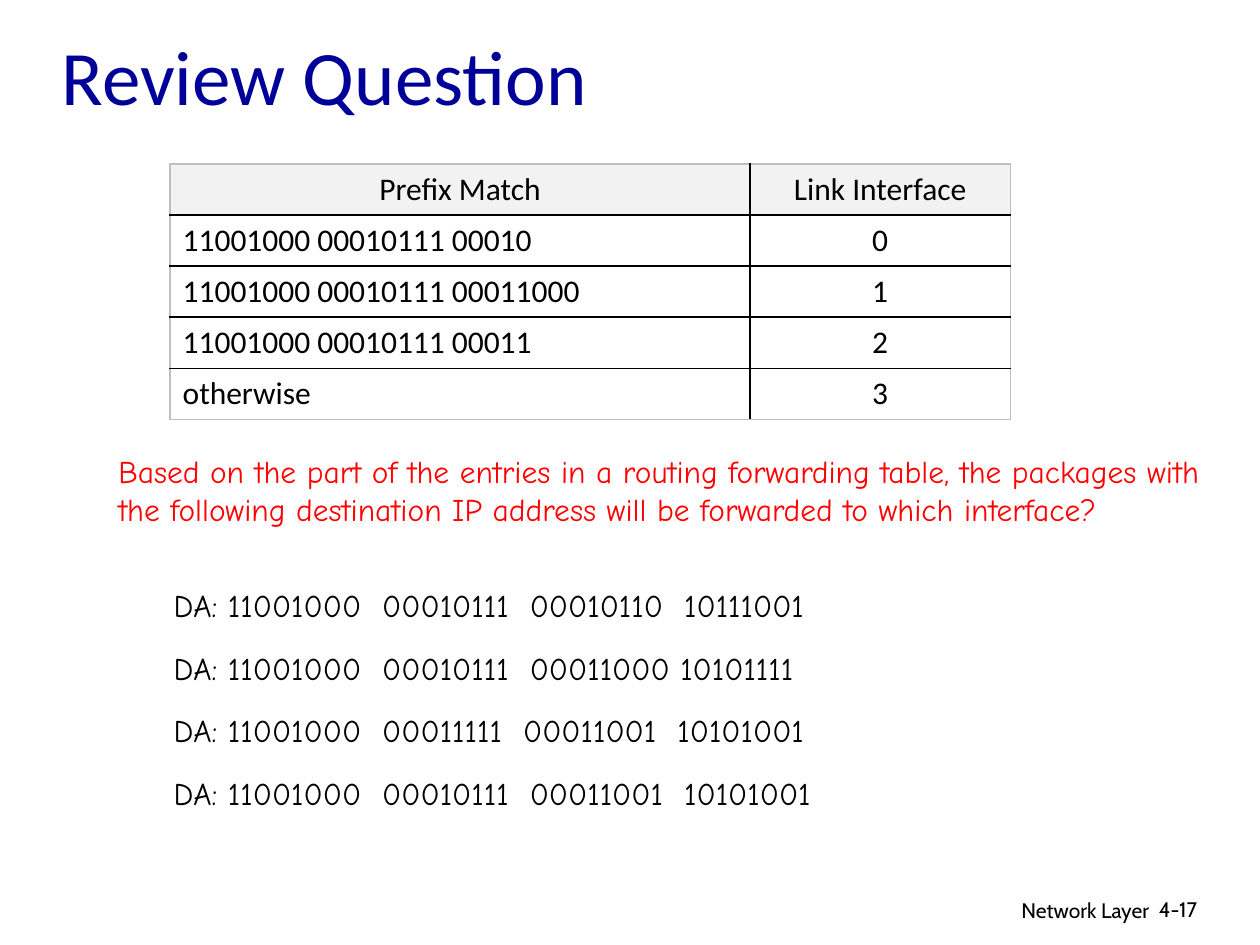
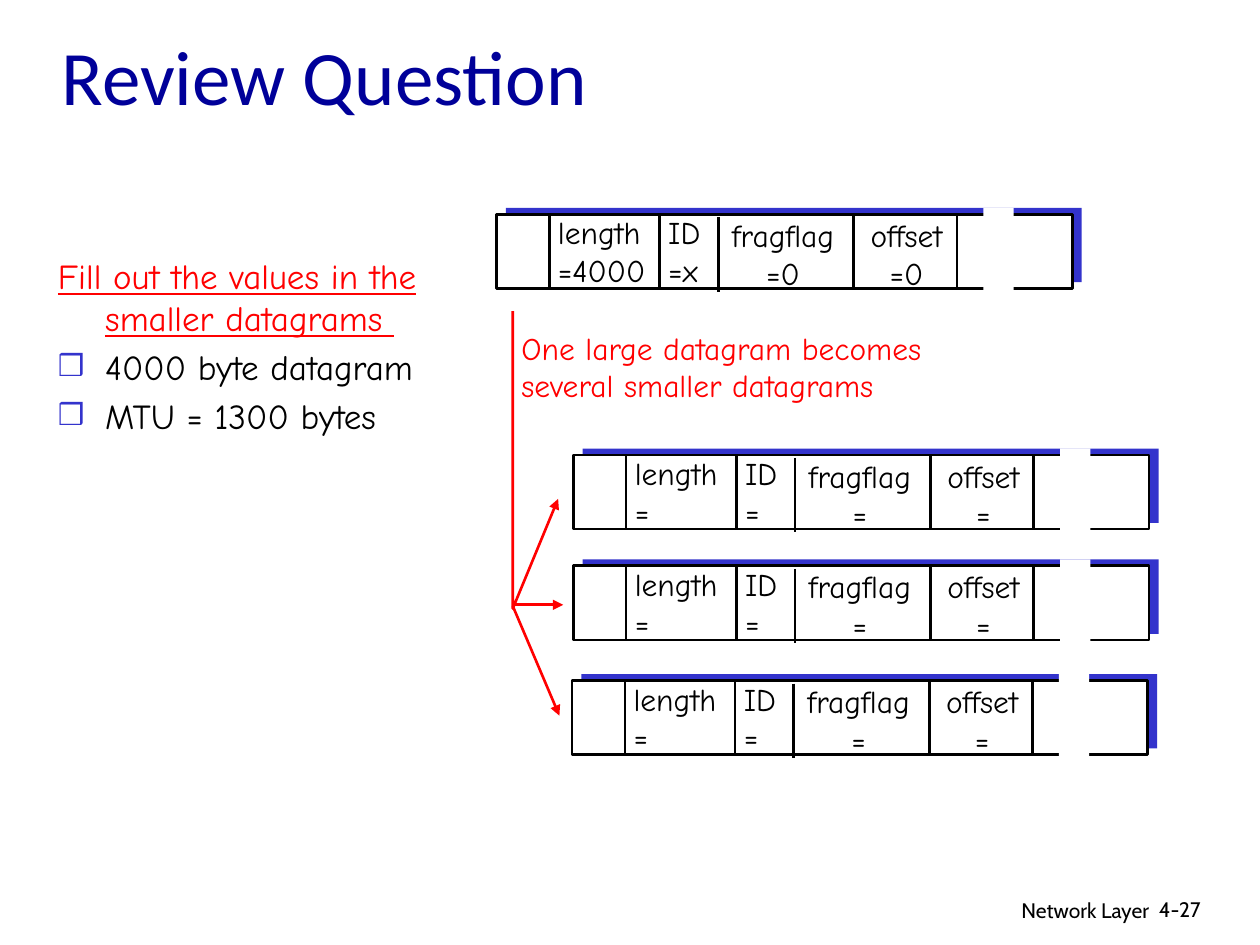
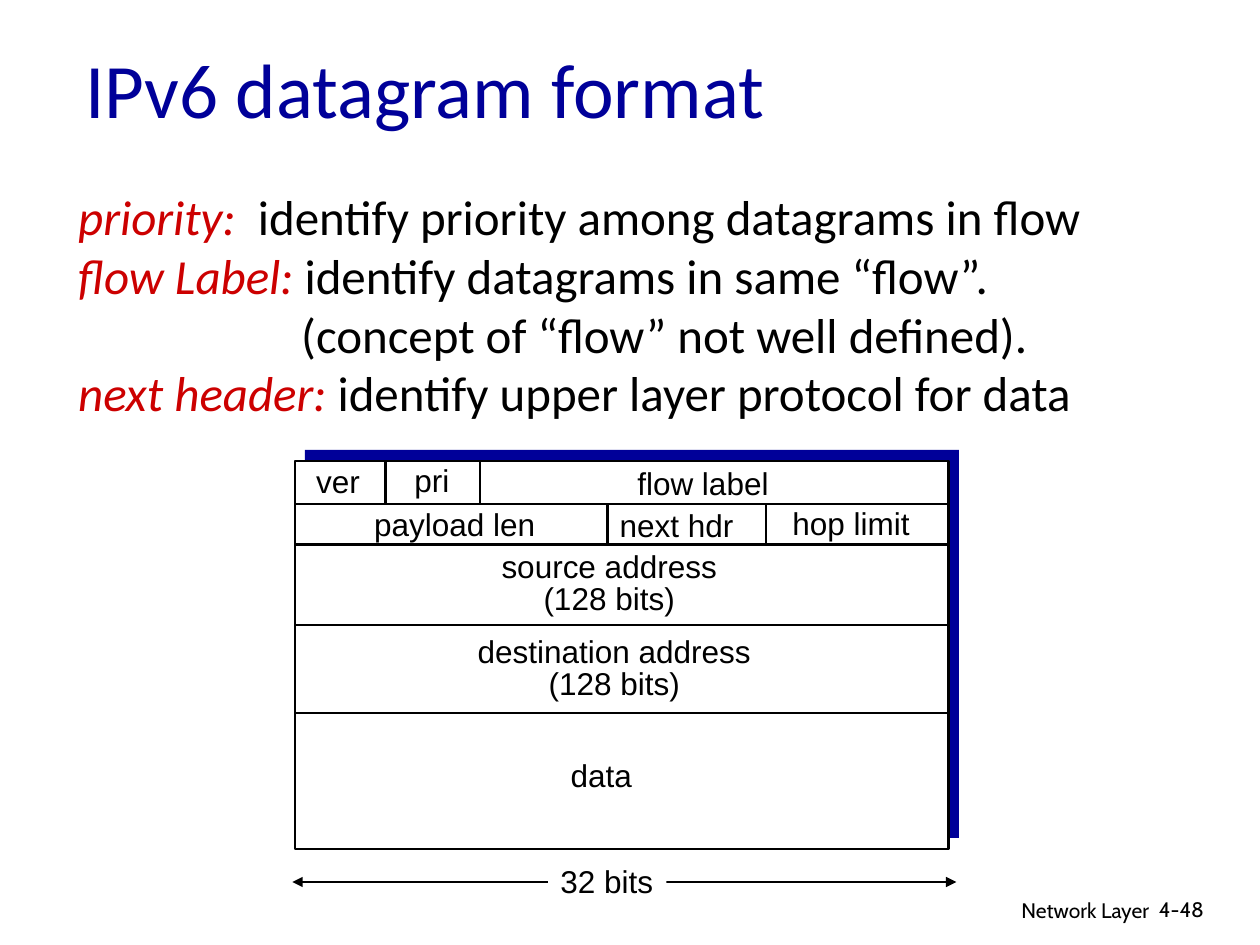
from dataclasses import dataclass
from lxml.etree import SubElement
from pptx import Presentation
from pptx.dml.color import RGBColor
from pptx.enum.shapes import MSO_CONNECTOR, MSO_SHAPE
from pptx.enum.text import MSO_ANCHOR, MSO_AUTO_SIZE, PP_ALIGN
from pptx.oxml.ns import qn
from pptx.util import Emu, Pt

COLS, ROWS = 100, 75
UNIT = 91440


@dataclass(frozen=True)
class Style:
    """Look of one run of text."""
    font: str
    size: int
    color: str = "000000"
    slant: bool = False
    under: bool = False


@dataclass(frozen=True)
class Theme:
    """Colours and type sizes of the deck."""
    ink: str = "000000"
    paper: str = "FFFFFF"
    navy: str = "000099"
    blue: str = "3333CC"
    red: str = "FF0000"
    head: str = "F2F2F2"
    edge: str = "BFBFBF"
    thin: float = 0.75
    rule: float = 1.5
    title: Style = Style("Calibri", 44, "000099")
    foot: Style = Style("Cabin", 12)
    cell: Style = Style("Calibri", 18)
    note: Style = Style("Comic Neue", 18)
    alert: Style = Style("Comic Neue", 18, "FF0000")
    task: Style = Style("Comic Neue", 20, "FF0000", under=True)
    item: Style = Style("Comic Neue", 20)
    term: Style = Style("Calibri", 28, "CC0000", slant=True)
    body: Style = Style("Calibri", 28)
    field: Style = Style("Arial", 18)


T = Theme()


@dataclass(frozen=True)
class Box:
    """Area in grid columns and rows."""
    x: float
    y: float
    w: float
    h: float

    def sub(self, dx, dy, w, h):
        """Return an area set off from this one's corner."""
        return Box(self.x + dx, self.y + dy, w, h)

    def emu(self):
        """Return left, top, width and height as lengths."""
        return [span(v) for v in (self.x, self.y, self.w, self.h)]


def span(count):
    """Turn grid units into a length."""
    return Emu(round(count * UNIT))


def paint(part, fill=None, line=None, width=T.rule):
    """Set fill and outline of a shape, without shadow."""
    part.shadow.inherit = False
    if fill:
        part.fill.solid()
        part.fill.fore_color.rgb = RGBColor.from_string(fill)
    else:
        part.fill.background()
    if line:
        ink(part, line, width)
    else:
        part.line.fill.background()


def ink(part, color, width):
    """Set the colour and width of a line."""
    part.line.color.rgb = RGBColor.from_string(color)
    part.line.width = Pt(width)


def tip(part, *ends):
    """Add triangle arrowheads to the named ends."""
    line = part.element.find(qn("p:spPr")).find(qn("a:ln"))
    for end in ends:
        SubElement(line, qn(f"a:{end}"), type="triangle")


def add_run(para, text, style):
    """Add one run in a style."""
    run = para.add_run()
    run.text = text
    font = run.font
    font.name, font.size = style.font, Pt(style.size)
    font.italic, font.underline = style.slant, style.under
    font.color.rgb = RGBColor.from_string(style.color)


def write(frame, paras, align=PP_ALIGN.LEFT, lead=1.0, gap=0):
    """Fill a frame with paragraphs, each a list of text and style pairs."""
    for i, runs in enumerate(paras):
        para = frame.add_paragraph() if i else frame.paragraphs[0]
        para.alignment, para.line_spacing = align, lead
        para.space_before = Pt(gap)
        for text, style in runs:
            add_run(para, text, style)


def label(slide, box, lines, style, align=PP_ALIGN.LEFT, lead=1.0, wrap=False):
    """Place a text box with one paragraph a line."""
    part = slide.shapes.add_textbox(*box.emu())
    frame = part.text_frame
    frame.word_wrap = wrap
    frame.auto_size = MSO_AUTO_SIZE.SHAPE_TO_FIT_TEXT
    write(frame, [[(line, style)] for line in lines], align, lead)
    return part


def rect(slide, box, fill, line=None):
    """Place a rectangle."""
    part = slide.shapes.add_shape(MSO_SHAPE.RECTANGLE, *box.emu())
    paint(part, fill, line)


def stroke(slide, box, color=T.ink, width=T.rule, ends=()):
    """Draw a line across a box from its top left corner."""
    x, y, w, h = box.emu()
    part = slide.shapes.add_connector(MSO_CONNECTOR.STRAIGHT, x, y, x + w, y + h)
    ink(part, color, width)
    tip(part, *ends)
    SubElement(part.element.find(qn("p:spPr")), qn("a:effectLst"))


def fit(part, box):
    """Move a placeholder into a box and return its frame."""
    part.left, part.top, part.width, part.height = box.emu()
    frame = part.text_frame
    frame.word_wrap, frame.auto_size = True, MSO_AUTO_SIZE.NONE
    return frame


def indent(para, left, first=0, mark=None):
    """Set the indents of a paragraph and its bullet, if any."""
    props = para._p.get_or_add_pPr()
    props.set("marL", str(span(left)))
    props.set("indent", str(span(first)))
    if mark:
        tint = SubElement(props, qn("a:buClr"))
        SubElement(tint, qn("a:srgbClr"), val=T.blue)
        SubElement(props, qn("a:buSzPct"), val="85000")
        SubElement(props, qn("a:buChar"), char=mark)
    else:
        SubElement(props, qn("a:buNone"))


def start(deck, layout, title, box, page):
    """Add a slide with its title and footer."""
    slide = deck.slides.add_slide(deck.slide_layouts[layout])
    frame = fit(slide.shapes.title, box)
    frame.vertical_anchor = MSO_ANCHOR.MIDDLE
    write(frame, [[(title, T.title)]])
    label(slide, Box(60.5, 70.7, 31.7, 3.1), ["Network Layer"], T.foot, PP_ALIGN.RIGHT, wrap=True)
    label(slide, Box(91, 70.7, 7.4, 3), [page], T.foot, wrap=True)
    return slide


def border(cell, sides):
    """Draw cell borders from a map of side to colour."""
    props = cell._tc.get_or_add_tcPr()
    for side in "LRTB":
        line = SubElement(props, qn(f"a:ln{side}"), w=str(Pt(1)))
        fill = SubElement(line, qn("a:solidFill"))
        SubElement(fill, qn("a:srgbClr"), val=sides.get(side, T.ink))


def routes(slide, box, rows, share):
    """Place the forwarding table."""
    part = slide.shapes.add_table(len(rows), 2, *box.emu())
    table = part.table
    table.first_row = table.horz_banding = False
    table.columns[0].width = span(box.w * share)
    table.columns[1].width = span(box.w * (1 - share))
    last = len(rows) - 1
    for r, row in enumerate(rows):
        for c, text in enumerate(row):
            cell = table.cell(r, c)
            sides = {"R" if c else "L": T.edge}
            if r in (0, last):
                sides["B" if r else "T"] = T.edge
            border(cell, sides)
            if r:
                cell.fill.background()
            else:
                cell.fill.solid()
                cell.fill.fore_color.rgb = RGBColor.from_string(T.head)
            align = PP_ALIGN.LEFT if r and not c else PP_ALIGN.CENTER
            write(cell.text_frame, [[(text, T.cell)]], align)


def packet(slide, box, values):
    """Draw one datagram with its four named fields."""
    rect(slide, box.sub(0.75, -0.5, box.w, box.h), T.blue)
    rect(slide, box, T.paper, T.ink)
    left, mid = PP_ALIGN.LEFT, PP_ALIGN.CENTER
    fields = [("length", 3.9, -0.55, 9.4, left), ("ID", 12.65, -0.55, 5.2, left),
              ("fragflag", 16.95, -0.35, 11.6, mid), ("offset", 27.75, -0.35, 9.6, mid)]
    for (name, dx, dy, wide, align), value in zip(fields, values):
        label(slide, box.sub(dx, dy, wide, 7), [name, f"={value}"], T.note, align)
    for dx, dy in ((4.2, 0), (12.95, 0), (17.6, 0.25), (28.35, 0), (36.55, 0)):
        stroke(slide, box.sub(dx, dy, 0, box.h))
    rect(slide, box.sub(38.65, -0.5, 2.4, 6.6), T.paper)


def fan(slide, box):
    """Draw the red stem that splits into three arrows."""
    foot = box.y + box.h
    pen = slide.shapes.build_freeform(span(box.x), span(box.y), 1.0)
    ends = [(box.x, foot), (box.x + 3.6, foot - 8.7)]
    pen.add_line_segments([(span(x), span(y)) for x, y in ends], close=False)
    part = pen.convert_to_shape()
    paint(part, line=T.red)
    tip(part, "tailEnd")
    for dy, w, h in ((-0.3, 4, 0), (-0.2, 3.7, 8.7)):
        stroke(slide, box.sub(0, box.h + dy, w, h), T.red, ends=["tailEnd"])


def header(slide, box):
    """Draw the header layout with its rows, cells and width mark."""
    rect(slide, box.sub(0.8, -0.9, box.w, box.h), T.navy)
    rect(slide, box, T.paper, T.ink)
    rows = (0, 3.4, 6.6, 13, 20)
    for dy in rows[1:]:
        stroke(slide, box.sub(0, dy, box.w, 0))
    for dx, row in ((7.2, 0), (14.7, 0), (24.8, 1), (37.4, 1)):
        stroke(slide, box.sub(dx, rows[row], 0, rows[row + 1] - rows[row]))
    fields = [("ver", 0.7, -0.4, 5.5), ("pri", 8.5, -0.5, 4.8), ("flow label", 26.2, -0.3, 12.4),
              ("payload len", 5.3, 3, 14.8), ("next hdr", 24.8, 3.1, 11),
              ("hop limit", 38.5, 2.9, 11.3), ("data", 20.9, 22.9, 6.9)]
    for text, dx, dy, wide in fields:
        label(slide, box.sub(dx, dy, wide, 4), [text], T.field)
    for name, dx, dy, wide in (("source", 15.4, 6.8, 19.1), ("destination", 13.5, 13.5, 23.7)):
        label(slide, box.sub(dx, dy, wide, 6.1), [f"{name} address", "(128 bits)"],
              T.field, PP_ALIGN.CENTER, 0.85)
    stroke(slide, box.sub(-0.2, 33.4, 52.7, 0), width=T.thin, ends=("headEnd", "tailEnd"))
    paint(label(slide, box.sub(20.1, 31.3, 9.4, 4), ["32 bits"], T.field), T.paper)


def lookup(deck, top):
    """Build the prefix match question."""
    slide = start(deck, 5, "Review Question", top, "4-17")
    rows = [("Prefix Match", "Link Interface"), ("11001000 00010111 00010", "0"),
            ("11001000 00010111 00011000 ", "1"), ("11001000 00010111 00011 ", "2"),
            ("otherwise", "3")]
    routes(slide, Box(13.5, 13, 66.7, 20.3), rows, 0.69)
    label(slide, Box(8.4, 35.4, 88.8, 10.1),
          ["Based on the part of the entries in a routing forwarding table, the packages with "
           "the following destination IP address will be forwarded to which interface?"],
          T.alert, wrap=True)
    hosts = ["00010111  00010110  10111001", "00010111  00011000 10101111",
             "00011111  00011001  10101001", "00010111  00011001  10101001"]
    for i, host in enumerate(hosts):
        label(slide, Box(12.8, 46 + 4.98 * i, 56.2, 4), [f"DA: 11001000  {host} "], T.note, wrap=True)


def split(deck, top):
    """Build the fragmentation question."""
    slide = start(deck, 1, "Review Question", top, "4-27")
    frame = fit(slide.placeholders[1], Box(3.6, 19.7, 31, 18.4))
    write(frame, [[("Fill out the values in the smaller datagrams ", T.task)],
                  [("4000 byte datagram", T.item)], [("MTU = 1300 bytes", T.item)]], gap=4)
    for i, para in enumerate(frame.paragraphs):
        indent(para, 3.75, -3.75, "\u2752" if i else None)
    packet(slide, Box(39.4, 17, 45.7, 5.9), ("4000", "x", "0", "0"))
    for x, y in ((45.5, 36.1), (45.5, 44.9), (45.4, 54)):
        packet(slide, Box(x, y, 45.7, 5.9), ("",) * 4)
    fan(slide, Box(40.7, 24.7, 3.6, 23.6))
    label(slide, Box(40.4, 25.6, 35.7, 7),
          ["One large datagram becomes", "several smaller datagrams"], T.alert)


def layout(deck, top):
    """Build the IPv6 header slide."""
    slide = start(deck, 1, "IPv6 datagram format", top.sub(1.9, 1, top.w, top.h), "4-48")
    frame = fit(slide.placeholders[1], Box(5.2, 14.3, 86, 19.9))
    write(frame, [[("priority:", T.term), ("  identify priority among datagrams in flow", T.body)],
                  [("flow Label:", T.term), (" identify datagrams in same “flow”. ", T.body)],
                  [("(concept of “flow” not well defined).", T.body)],
                  [("next header:", T.term), (" identify upper layer protocol for data", T.body)]])
    for para, left in zip(frame.paragraphs, (0, 0, 17.7, 0)):
        indent(para, left)
    header(slide, Box(23.4, 36.6, 51.9, 30.8))


def main():
    """Build and save the deck."""
    deck = Presentation()
    deck.slide_width, deck.slide_height = span(COLS), span(ROWS)
    top = Box(3.9, 1, 85, 9.9)
    for build in (lookup, split, layout):
        build(deck, top)
    deck.save("out.pptx")


main()
